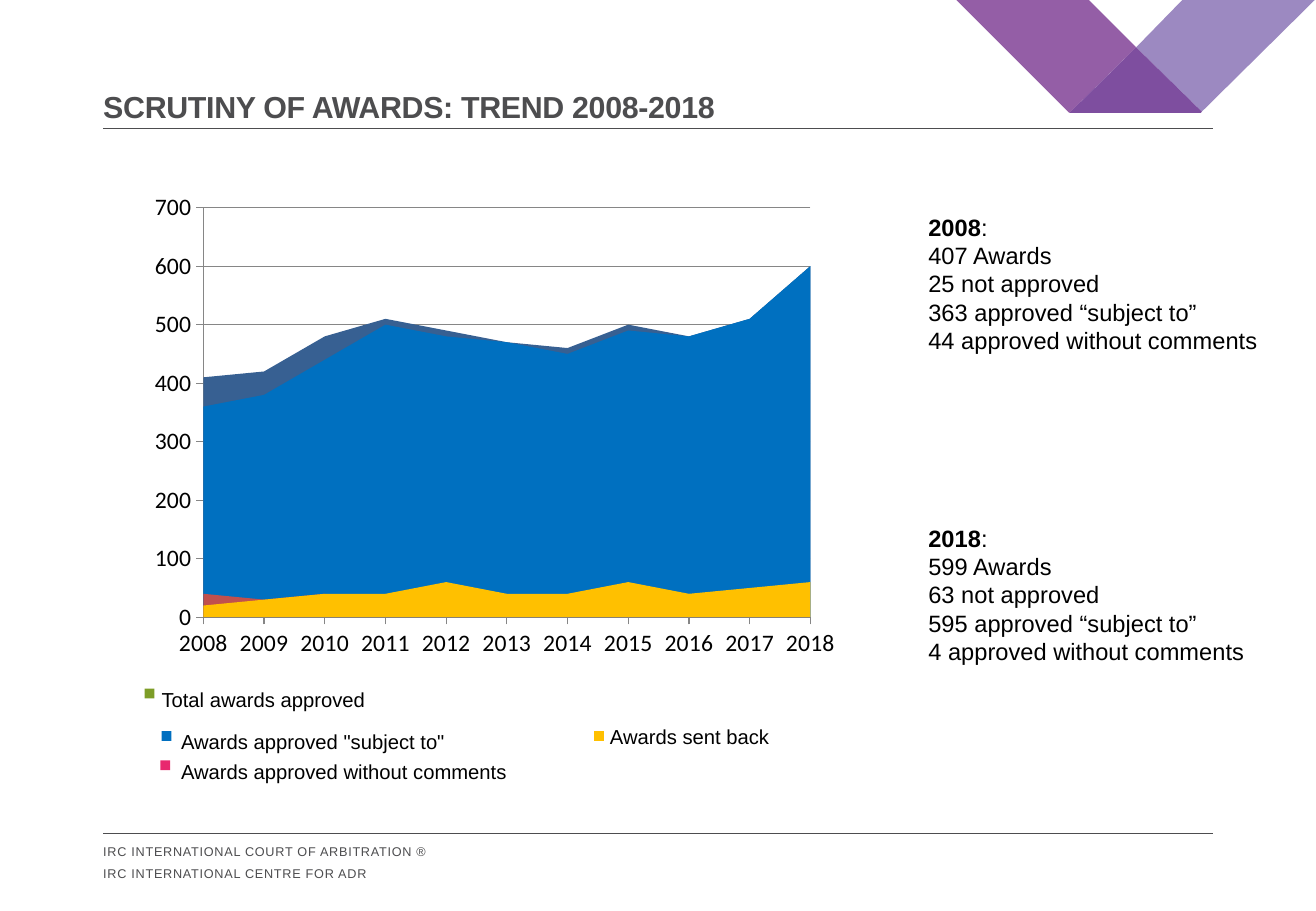
"""Build the slide on the scrutiny of awards from 2008 to 2018."""
from lxml.etree import SubElement
from pptx import Presentation
from pptx.chart.data import CategoryChartData
from pptx.dml.color import RGBColor
from pptx.enum.chart import XL_CHART_TYPE as ChartType, XL_TICK_MARK as TickMark
from pptx.enum.shapes import MSO_CONNECTOR as Connector, MSO_SHAPE as Shape
from pptx.oxml import parse_xml
from pptx.oxml.ns import nsdecls, qn
from pptx.util import Pt

PX = 9144
BLACK = RGBColor(0x00, 0x00, 0x00)
WHITE = RGBColor(0xFF, 0xFF, 0xFF)
SLATE = RGBColor(0x4D, 0x4D, 0x4F)
AXIS_GREY = RGBColor(0x86, 0x86, 0x86)
LILAC = RGBColor(0x9C, 0x89, 0xC1)
PLUM = RGBColor(0x94, 0x5E, 0xA6)
VIOLET = RGBColor(0x7E, 0x4E, 0x9F)
PINK = RGBColor(0xE8, 0x28, 0x6F)
BLUE = RGBColor(0x00, 0x6F, 0xC0)
GREEN = RGBColor(0x7D, 0x9D, 0x27)
AMBER = RGBColor(0xFF, 0xC0, 0x00)
BRICK = RGBColor(0xC0, 0x50, 0x4D)
AREA_BLUE = RGBColor(0x00, 0x70, 0xC0)
NAVY = RGBColor(0x37, 0x60, 0x92)

RIBBONS = [
    (LILAC, [(1082, 0), (973, 0), (935, 39), (989, 92)]),
    (PLUM, [(896, 0), (787, 0), (880, 93), (935, 39)]),
    (VIOLET, [(935, 39), (880, 93), (988, 93), (989, 92)]),
]
AWARDS = [
    ("Awards sent back", AMBER, [20, 30, 40, 40, 60, 40, 40, 60, 40, 50, 60]),
    ("Awards approved without comments", BRICK,
     [40, 30, 40, 10, 10, 0, 10, 0, 0, 0, 0]),
    ("Awards approved \"subject to\"", AREA_BLUE,
     [360, 380, 440, 500, 480, 470, 450, 490, 480, 510, 600]),
    ("Total awards approved", NAVY,
     [410, 420, 480, 510, 490, 470, 460, 500, 480, 510, 600]),
]
YEAR_NOTES = [
    (175, "2008", ["407 Awards", "25 not approved", "363 approved “subject to”",
                   "44 approved without comments"]),
    (431, "2018", ["599 Awards", "63 not approved", "595 approved “subject to”",
                   "4 approved without comments"]),
]
LEGEND_MARKS = [(GREEN, 119, 567), (BLUE, 133, 602), (PINK, 132, 626), (AMBER, 489, 602)]
LEGEND_LABELS = [
    (133, 561, 203, 1.23, ["Total awards approved"]),
    (149, 596, 290, 1.23, ["Awards approved \"subject to\"",
                           "Awards approved without comments"]),
    (502, 596, 220, 1, ["Awards sent back"]),
]
FOOTER = ["IRC INTERNATIONAL COURT OF ARBITRATION ®", "IRC INTERNATIONAL CENTRE FOR ADR"]


def paint(shape, color):
    """Fill a shape with one colour, without outline or shadow."""
    shape.shadow.inherit = False
    shape.fill.solid()
    shape.fill.fore_color.rgb = color
    shape.line.fill.background()


def add_ribbon(slide, color, points):
    """Draw a closed polygon through the points."""
    builder = slide.shapes.build_freeform(*points[0], scale=PX)
    builder.add_line_segments(points[1:], close=True)
    paint(builder.convert_to_shape(), color)


def add_mark(slide, color, left, top):
    """Draw a small square of the legend."""
    paint(slide.shapes.add_shape(Shape.RECTANGLE, left * PX, top * PX, 8 * PX, 8 * PX), color)


def add_rule(slide, top):
    """Draw a thin rule across the content width."""
    rule = slide.shapes.add_connector(Connector.STRAIGHT, 85 * PX, top * PX, 998 * PX, top * PX)
    rule.line.color.rgb = SLATE
    rule.line.width = Pt(0.5)
    SubElement(rule._element.spPr, qn("a:effectLst"))


def add_text(slide, box, lines, size, color=BLACK, leading=1, tracking=0):
    """Add a text box whose lines are lists of (text, bold) runs."""
    shape = slide.shapes.add_textbox(*(length * PX for length in box))
    frame = shape.text_frame
    frame.word_wrap = True
    frame.margin_left = frame.margin_top = frame.margin_right = frame.margin_bottom = 0
    for index, runs in enumerate(lines):
        paragraph = frame.add_paragraph() if index else frame.paragraphs[0]
        paragraph.line_spacing = leading
        for text, bold in runs:
            run = paragraph.add_run()
            run.text = text
            run.font.name = "Arial"
            run.font.size = Pt(size)
            run.font.bold = bold
            run.font.color.rgb = color
            if tracking:
                run._r.get_or_add_rPr().set("spc", str(tracking))


def plain(lines):
    """Turn strings into lines of one regular run each."""
    return [[(line, False)] for line in lines]


def place_plot(chart, left, top, width, height):
    """Fix the inner plot area as fractions of the chart."""
    plot_area = chart._chartSpace.chart.plotArea
    for layout in plot_area.findall(qn("c:layout")):
        plot_area.remove(layout)
    plot_area.insert(0, parse_xml(
        f'<c:layout {nsdecls("c")}><c:manualLayout><c:layoutTarget val="inner"/>'
        '<c:xMode val="edge"/><c:yMode val="edge"/>'
        f'<c:x val="{left}"/><c:y val="{top}"/><c:w val="{width}"/><c:h val="{height}"/>'
        '</c:manualLayout></c:layout>'))
    for crossing in plot_area.iter(qn("c:crossBetween")):
        crossing.set("val", "midCat")


def add_awards_chart(slide):
    """Add the area chart of awards by year."""
    data = CategoryChartData()
    data.categories = [str(year) for year in range(2008, 2019)]
    for name, _, values in AWARDS:
        data.add_series(name, values)
    chart = slide.shapes.add_chart(
        ChartType.AREA, 30 * PX, 118 * PX, 723 * PX, 457 * PX, data).chart
    chart.has_title = False
    chart.has_legend = False
    chart.font.name = "Calibri"
    chart.font.size = Pt(14)
    chart.font.color.rgb = BLACK
    chart.plots[0].vary_by_categories = False
    for series, (_, color, _) in zip(chart.plots[0].series, AWARDS):
        series.format.fill.solid()
        series.format.fill.fore_color.rgb = color
        series.format.line.fill.background()
    for axis in (chart.category_axis, chart.value_axis):
        axis.major_tick_mark = TickMark.OUTSIDE
        axis.minor_tick_mark = TickMark.NONE
        axis.format.line.color.rgb = AXIS_GREY
        axis.tick_labels.font.size = Pt(14)
    chart.category_axis.has_major_gridlines = False
    value_axis = chart.value_axis
    value_axis.minimum_scale = 0
    value_axis.maximum_scale = 700
    value_axis.major_unit = 100
    value_axis.has_major_gridlines = True
    value_axis.major_gridlines.format.line.color.rgb = AXIS_GREY
    place_plot(chart, 0.19, 0.116, 0.691, 0.738)


def main():
    """Build and save the presentation."""
    presentation = Presentation()
    presentation.slide_width = 1083 * PX
    presentation.slide_height = 750 * PX
    slide = presentation.slides.add_slide(presentation.slide_layouts[6])
    slide.background.fill.solid()
    slide.background.fill.fore_color.rgb = WHITE
    for top in (106, 686):
        add_rule(slide, top)
    for color, points in RIBBONS:
        add_ribbon(slide, color, points)
    add_text(slide, (85, 73, 700, 30), [[("SCRUTINY OF AWARDS: TREND 2008-2018", True)]],
             18, SLATE, tracking=-20)
    add_awards_chart(slide)
    for top, year, lines in YEAR_NOTES:
        add_text(slide, (764, top, 300, 120), [[(year, True), (":", False)], *plain(lines)], 14)
    for mark in LEGEND_MARKS:
        add_mark(slide, *mark)
    for left, top, width, leading, lines in LEGEND_LABELS:
        add_text(slide, (left, top, width, 24 * len(lines)), plain(lines), 12, leading=leading)
    add_text(slide, (85, 689, 400, 37), plain(FOOTER), 7.5, SLATE, 1.44, 40)
    presentation.save("out.pptx")


if __name__ == "__main__":
    main()
